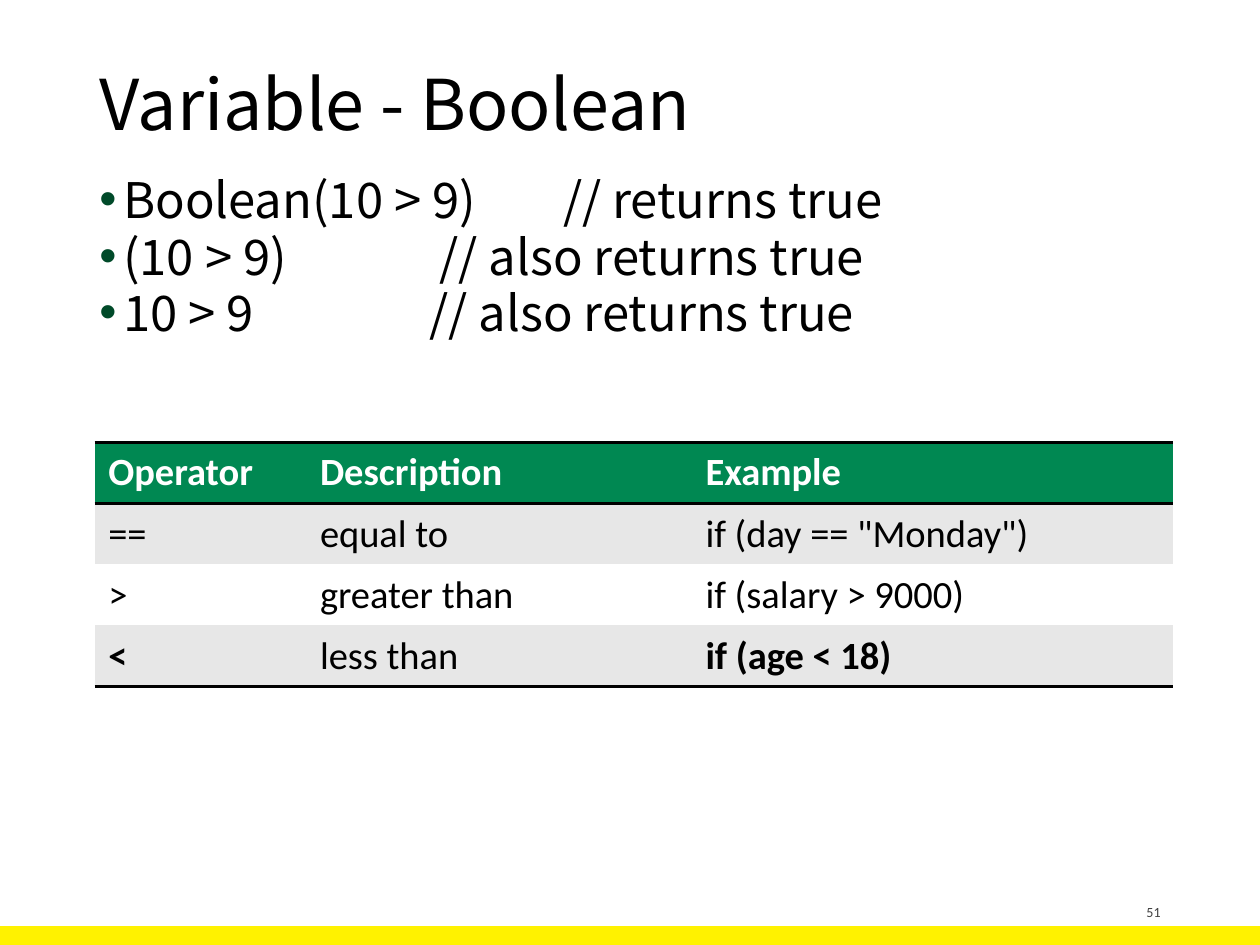
import pptx
import pptx.dml.color
import pptx.enum.shapes
import pptx.enum.text
import pptx.oxml.ns
import pptx.util
from lxml import etree

Inches = pptx.util.Inches
Pt = pptx.util.Pt
ALIGN = pptx.enum.text.PP_ALIGN
ANCHOR = pptx.enum.text.MSO_ANCHOR

SANS = "Noto Sans CJK JP"
BLACK = "000000"

STATEMENTS = [
    ("Boolean(10 > 9)", "// returns true", 3.68),
    ("(10 > 9)", "// also returns true", 2.7),
    ("10 > 9", "// also returns true", 2.62),
]
OPERATORS = [
    ("Operator", "Description", "Example"),
    ("==", "equal to", 'if (day == "Monday")'),
    (">", "greater than", "if (salary > 9000)"),
    ("<", "less than", "if (age < 18)"),
]
BOLD_CELLS = {(0, 0), (0, 1), (0, 2), (3, 0), (3, 2)}


def color(value):
    """Return the colour for a hex string."""
    return pptx.dml.color.RGBColor.from_string(value)


def add_element(parent, tag, **attributes):
    """Append a DrawingML element and return it."""
    return etree.SubElement(parent, pptx.oxml.ns.qn(tag), attributes)


def write(para, text, size=28, font=SANS, fill=BLACK, bold=False, align=ALIGN.LEFT, line=None):
    """Add formatted text to a paragraph."""
    para.alignment = align
    if line:
        para.line_spacing = line
    span = para.add_run()
    span.text = text
    span.font.size = Pt(size)
    span.font.name = font
    span.font.bold = bold
    span.font.color.rgb = color(fill)
    for tag in ("a:ea", "a:cs"):
        add_element(span.font._element, tag, typeface=font)


def add_frame(page, box, anchor):
    """Add a wrapping text box and return its text frame."""
    frame = page.shapes.add_textbox(*map(Inches, box)).text_frame
    frame.word_wrap = True
    frame.vertical_anchor = anchor
    return frame


def add_title(page, box):
    """Place the slide title."""
    frame = add_frame(page, box, ANCHOR.MIDDLE)
    write(frame.paragraphs[0], "Variable - Boolean", size=40, line=0.9)


def add_statements(page, box):
    """Place the bulleted statements with their comments at tab stops."""
    frame = add_frame(page, box, ANCHOR.TOP)
    for index, (code, comment, stop) in enumerate(STATEMENTS):
        para = frame.paragraphs[0] if index == 0 else frame.add_paragraph()
        properties = para._p.get_or_add_pPr()
        properties.set("marL", str(Inches(0.19)))
        properties.set("indent", str(-Inches(0.19)))
        bullet_color = add_element(properties, "a:buClr")
        add_element(bullet_color, "a:srgbClr", val="004A29")
        add_element(properties, "a:buFont", typeface="Arial")
        add_element(properties, "a:buChar", char="•")
        tabs = add_element(properties, "a:tabLst")
        add_element(tabs, "a:tab", pos=str(Inches(stop)), algn="l")
        if index:
            para.space_before = Pt(5.3)
        write(para, f"{code}\t{comment}", line=0.8)


def set_borders(cell, ruled):
    """Draw the ruled sides of a cell and clear the others."""
    properties = cell._tc.get_or_add_tcPr()
    for side in "LRTB":
        line = add_element(properties, f"a:ln{side}", w=str(Pt(2)))
        if side in ruled:
            fill = add_element(line, "a:solidFill")
            add_element(fill, "a:srgbClr", val=BLACK)
        else:
            add_element(line, "a:noFill")


def add_operators(page, box, widths):
    """Place the table of comparison operators."""
    shape = page.shapes.add_table(len(OPERATORS), len(widths), *map(Inches, box))
    table = shape.table
    for column, width in zip(table.columns, widths):
        column.width = Inches(width)
    fills = ["008852", "E7E7E7", "FFFFFF", "E7E7E7"]
    rules = ["TB", "T", "", "B"]
    for row, texts in enumerate(OPERATORS):
        for column, text in enumerate(texts):
            cell = table.cell(row, column)
            set_borders(cell, rules[row])
            cell.fill.solid()
            cell.fill.fore_color.rgb = color(fills[row])
            cell.margin_left = Inches(0.06 if column else 0.11)
            cell.margin_right = Inches(0.06)
            cell.margin_top = cell.margin_bottom = Inches(0.05)
            cell.vertical_anchor = ANCHOR.MIDDLE
            write(cell.text_frame.paragraphs[0], text, size=22, font="Calibri",
                  fill=BLACK if row else "FFFFFF", bold=(row, column) in BOLD_CELLS)


def add_footer(page, bar_box, number_box):
    """Place the bottom bar and the page number."""
    bar = page.shapes.add_shape(pptx.enum.shapes.MSO_SHAPE.RECTANGLE, *map(Inches, bar_box))
    bar.shadow.inherit = False
    bar.fill.solid()
    bar.fill.fore_color.rgb = color("FFF200")
    bar.line.fill.background()
    frame = add_frame(page, number_box, ANCHOR.BOTTOM)
    write(frame.paragraphs[0], "51", size=8, font="Calibri", fill="404040", align=ALIGN.RIGHT)


def main():
    """Build and save the deck."""
    deck = pptx.Presentation()
    deck.slide_width, deck.slide_height = Inches(10), Inches(7.5)
    page = deck.slides.add_slide(deck.slide_layouts[6])
    add_footer(page, (0, 7.35, 10, 0.15), (7.12, 6.95, 2.19, 0.4))
    add_title(page, (0.69, 0.4, 8.62, 0.91))
    add_statements(page, (0.69, 1.39, 8.62, 5.37))
    add_operators(page, (0.75, 3.51, 8.56, 1.94), (1.73, 3.06, 3.77))
    deck.save("out.pptx")


if __name__ == "__main__":
    main()
